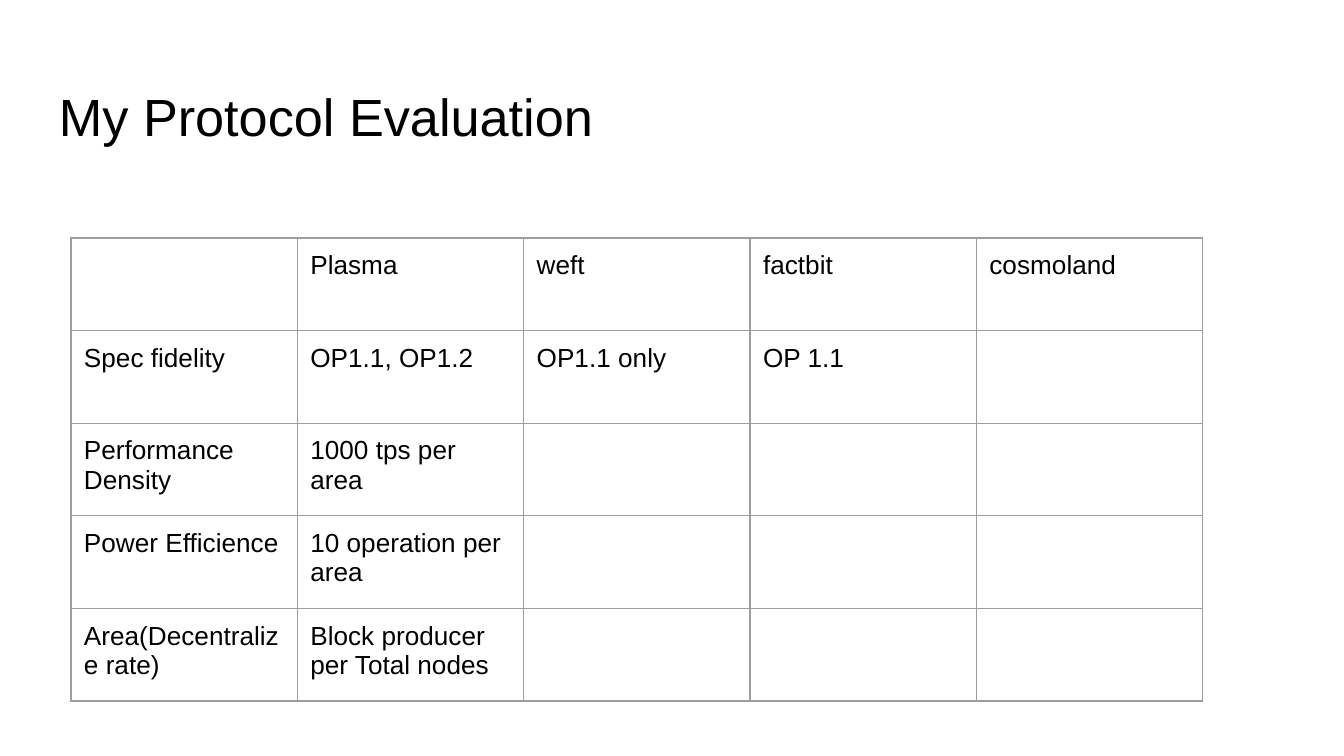
from lxml.etree import SubElement
from pptx import Presentation
from pptx.dml.color import RGBColor
from pptx.oxml.ns import qn
from pptx.util import Emu, Pt

SCALE = 914400 / 134.4
INSET = 13
CRITERIA = [
    ["", "Plasma", "weft", "factbit", "cosmoland"],
    ["Spec fidelity", "OP1.1, OP1.2", "OP1.1 only", "OP 1.1", ""],
    ["Performance\nDensity", "1000 tps per area", "", "", ""],
    ["Power Efficience", "10 operation per area", "", "", ""],
    ["Area(Decentralize rate)", "Block producer per Total nodes", "", "", ""],
]


def px(length):
    """Turn pixels into EMU."""
    return Emu(round(length * SCALE))


def color(hex_value):
    """Turn a hex string into a colour."""
    return RGBColor.from_string(hex_value)


def write(frame, text, size=14, font="Arial", ink="000000"):
    """Write text into a frame, one paragraph a line."""
    frame.word_wrap = True
    frame.text = text
    for paragraph in frame.paragraphs:
        paragraph.font.size = Pt(size)
        for run in paragraph.runs:
            run.font.size = Pt(size)
            run.font.name = font
            run.font.color.rgb = color(ink)


def set_insets(holder, top=INSET):
    """Set the inner margins of a cell or a text frame."""
    holder.margin_left = holder.margin_right = holder.margin_bottom = px(INSET)
    holder.margin_top = px(top)


def outline_cell(cell, ink="9E9E9E", width=0.75):
    """Draw the four borders of an unfilled cell."""
    properties = cell._tc.get_or_add_tcPr()
    for side in ("a:lnL", "a:lnR", "a:lnT", "a:lnB"):
        border = SubElement(properties, qn(side), w=str(Pt(width)))
        fill = SubElement(border, qn("a:solidFill"))
        SubElement(fill, qn("a:srgbClr"), val=ink)
    cell.fill.background()


def add_title(slide, left, top, width, height):
    """Place the slide title."""
    title = slide.shapes.add_textbox(px(left), px(top), px(width), px(height))
    set_insets(title.text_frame, top=18)
    write(title.text_frame, "My Protocol Evaluation", size=28)


def add_evaluation(slide, left, top, width, height):
    """Place the evaluation table with equal rows and columns."""
    rows, columns = len(CRITERIA), len(CRITERIA[0])
    evaluation = slide.shapes.add_table(
        rows, columns, px(left), px(top), px(width), px(height)
    ).table
    evaluation.first_row = evaluation.horz_banding = False
    for column in evaluation.columns:
        column.width = px(width / columns)
    for row, entries in zip(evaluation.rows, CRITERIA):
        row.height = px(height / rows)
        for cell, entry in zip(row.cells, entries):
            set_insets(cell)
            write(cell.text_frame, entry)
            outline_cell(cell)


def main():
    """Build and save the slide."""
    deck = Presentation()
    deck.slide_width, deck.slide_height = px(1344), px(756)
    slide = deck.slides.add_slide(deck.slide_layouts[6])
    slide.background.fill.solid()
    slide.background.fill.fore_color.rgb = color("FFFFFF")
    add_title(slide, 46, 66, 1252, 85)
    add_evaluation(slide, 71, 238, 1132, 463)
    deck.save("out.pptx")


if __name__ == "__main__":
    main()
